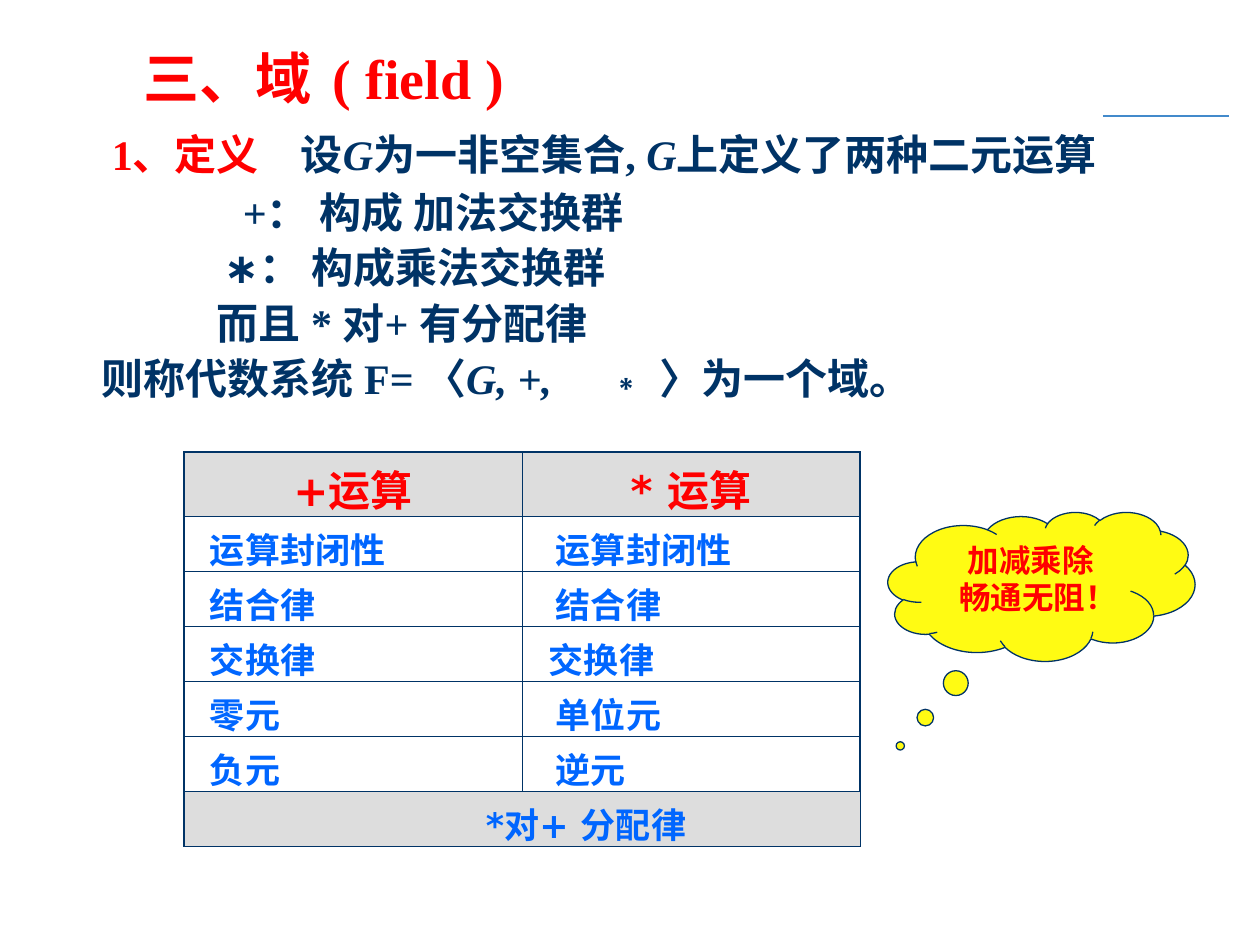
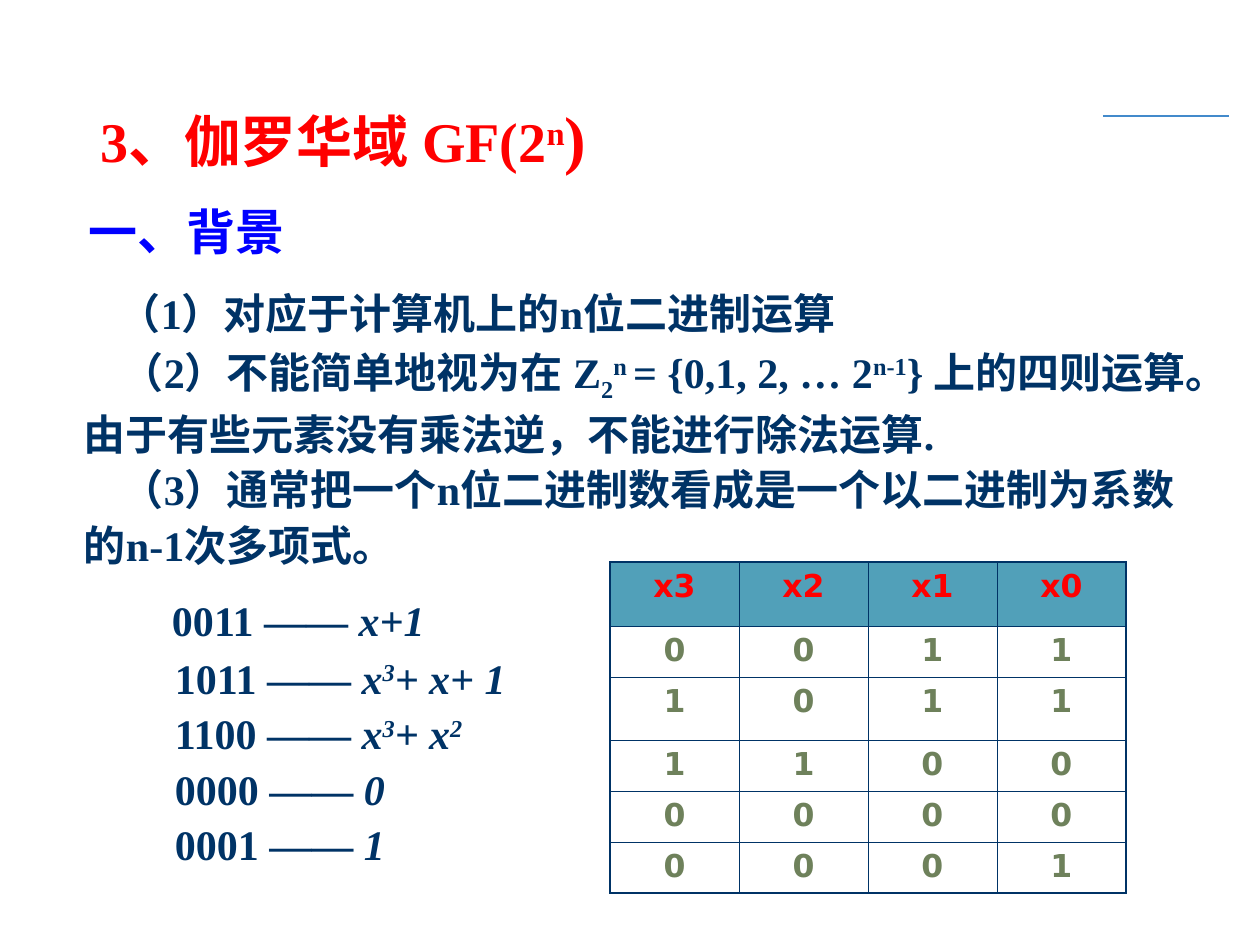
"""Build two slides on algebraic fields and the Galois field GF(2^n)."""
from dataclasses import dataclass, field
from typing import Optional

from lxml.etree import SubElement
from pptx import Presentation
from pptx.dml.color import RGBColor
from pptx.enum.shapes import MSO_CONNECTOR, MSO_SHAPE
from pptx.enum.text import MSO_ANCHOR, PP_ALIGN
from pptx.oxml import parse_xml
from pptx.oxml.ns import nsdecls, qn
from pptx.util import Emu, Pt

PX_PER_INCH = 126


@dataclass(frozen=True)
class Theme:
    navy: str = "003366"
    red: str = "FF0000"
    blue: str = "0000FF"
    sky: str = "0066FF"
    olive: str = "6E815B"
    teal: str = "51A0B9"
    grey: str = "DDDDDD"
    yellow: str = "FFFB13"
    rule: str = "438ACB"
    serif: str = "Times New Roman"
    sans: str = "Arial"
    table: str = "DejaVu Sans"
    east_asian: str = "Lato"
    title: int = 32
    title_bracket: int = 37
    heading: int = 28
    body: int = 24
    row: int = 20
    small: int = 18
    thick: float = 1.08
    thin: float = 0.45
    outline: float = 0.75


THEME = Theme()


@dataclass(frozen=True)
class Run:
    text: str
    italic: bool = False
    baseline: int = 0
    font: Optional[str] = None
    size: Optional[int] = None
    color: Optional[str] = None


@dataclass(frozen=True)
class Line:
    runs: list[Run]
    left: int = 0
    first: int = 0
    before: int = 0
    tab: Optional[int] = None


@dataclass(frozen=True)
class Box:
    left: int
    top: int
    width: int
    height: int

    def emu(self) -> tuple[Emu, Emu, Emu, Emu]:
        return px(self.left), px(self.top), px(self.width), px(self.height)


@dataclass(frozen=True)
class Cell:
    text: str
    left: int = 13
    size: int = THEME.row
    color: str = THEME.sky
    fill: Optional[str] = None
    align: PP_ALIGN = PP_ALIGN.LEFT


@dataclass(frozen=True)
class Grid:
    left: int
    top: int
    column_width: int
    row_heights: list[int]
    cells: list[list[Cell]]
    margin_top: int
    margin_bottom: int
    merged_rows: list[int] = field(default_factory=list)


def px(length: float) -> Emu:
    return Emu(round(length * 914400 / PX_PER_INCH))


def rgb(value: str) -> RGBColor:
    return RGBColor.from_string(value)


def write(frame, lines: list[Line], *, size: int, color: str, font: str = THEME.serif,
          align: PP_ALIGN = PP_ALIGN.LEFT, spacing: Optional[float] = None) -> None:
    frame.word_wrap = True
    for index, line in enumerate(lines):
        paragraph = frame.paragraphs[0] if index == 0 else frame.add_paragraph()
        paragraph.alignment = align
        if spacing:
            paragraph.line_spacing = spacing
        if line.before:
            paragraph.space_before = px(line.before)
        properties = paragraph._p.get_or_add_pPr()
        properties.set("marL", str(px(line.left)))
        properties.set("indent", str(px(line.first)))
        if line.tab:
            tabs = SubElement(properties, qn("a:tabLst"))
            SubElement(tabs, qn("a:tab"), pos=str(px(line.tab)), algn="l")
        for part in line.runs:
            run = paragraph.add_run()
            run.text = part.text
            run.font.bold = True
            run.font.italic = part.italic
            run.font.size = Pt(part.size or size)
            run.font.color.rgb = rgb(part.color or color)
            run.font.name = part.font or font
            run_properties = run._r.get_or_add_rPr()
            SubElement(run_properties, qn("a:ea"), typeface=THEME.east_asian)
            if part.baseline:
                run_properties.set("baseline", str(part.baseline * 1000))


def add_text(slide, box: Box, lines: list[Line], *, size: int = THEME.body,
             color: str = THEME.navy, spacing: Optional[float] = None) -> None:
    frame = slide.shapes.add_textbox(*box.emu()).text_frame
    frame.margin_left = frame.margin_right = frame.margin_top = frame.margin_bottom = 0
    write(frame, lines, size=size, color=color, spacing=spacing)


def set_borders(cell, widths: dict[str, float]) -> None:
    properties = cell._tc.get_or_add_tcPr()
    for index, (side, width) in enumerate(widths.items()):
        properties.insert(index, parse_xml(
            f'<a:ln{side} {nsdecls("a")} w="{Pt(width)}"><a:solidFill>'
            f'<a:srgbClr val="{THEME.navy}"/></a:solidFill></a:ln{side}>'))


def add_grid(slide, grid: Grid) -> None:
    row_count, column_count = len(grid.cells), len(grid.cells[0])
    box = Box(grid.left, grid.top, grid.column_width * column_count, sum(grid.row_heights))
    table = slide.shapes.add_table(row_count, column_count, *box.emu()).table
    table.first_row = table.horz_banding = False
    for column in table.columns:
        column.width = px(grid.column_width)
    for y, (height, row) in enumerate(zip(grid.row_heights, grid.cells)):
        table.rows[y].height = px(height)
        for x, item in enumerate(row):
            cell = table.cell(y, x)
            cell.margin_left, cell.margin_right = px(item.left), px(13)
            cell.margin_top, cell.margin_bottom = px(grid.margin_top), px(grid.margin_bottom)
            if item.fill:
                cell.fill.solid()
                cell.fill.fore_color.rgb = rgb(item.fill)
            else:
                cell.fill.background()
            outer = {"L": x == 0, "R": x == column_count - 1,
                     "T": y == 0, "B": y == row_count - 1}
            set_borders(cell, {side: THEME.thick if edge else THEME.thin
                               for side, edge in outer.items()})
            if item.text:
                write(cell.text_frame, [Line([Run(item.text)])], size=item.size,
                      color=item.color, font=THEME.table, align=item.align)
        if y in grid.merged_rows:
            table.cell(y, 0).merge(table.cell(y, column_count - 1))


def add_callout(slide, box: Box, lines: list[Line]) -> None:
    shape = slide.shapes.add_shape(MSO_SHAPE.CLOUD_CALLOUT, *box.emu())
    shape.adjustments[0], shape.adjustments[1] = -0.46, 1.07
    shape.shadow.inherit = False
    shape.fill.solid()
    shape.fill.fore_color.rgb = rgb(THEME.yellow)
    shape.line.color.rgb = rgb(THEME.navy)
    shape.line.width = Pt(THEME.outline)
    shape.text_frame.vertical_anchor = MSO_ANCHOR.TOP
    write(shape.text_frame, lines, size=THEME.small, color=THEME.red,
          font=THEME.sans, align=PP_ALIGN.CENTER)


def add_slide(presentation):
    slide = presentation.slides.add_slide(presentation.slide_layouts[6])
    rule = slide.shapes.add_connector(MSO_CONNECTOR.STRAIGHT, px(1103), px(116), px(1229), px(116))
    rule.line.color.rgb = rgb(THEME.rule)
    rule.line.width = Pt(THEME.outline)
    SubElement(rule._element.spPr, qn("a:effectLst"))
    return slide


def build_field_slide(presentation) -> None:
    slide = add_slide(presentation)
    add_text(slide, Box(144, 43, 440, 72), [Line([Run("三、域\t( field )")], tab=206)],
             size=THEME.title, color=THEME.red)
    add_text(slide, Box(102, 123, 1094, 280), [
        Line([Run("1、定义\t", color=THEME.red), Run("设"), Run("G", italic=True),
              Run("为一非空集合, "), Run("G", italic=True), Run("上定义了两种二元运算")],
             left=10, tab=197),
        Line([Run("+： 构成 加法交换群")], left=141, before=3),
        Line([Run("∗", font=THEME.sans), Run("： 构成乘法交换群")], left=122),
        Line([Run("而且 * 对+ 有分配律")], left=115),
        Line([Run("则称代数系统 F= "), Run("〈", font=THEME.sans), Run("G, +,\t", italic=True),
              Run("∗ 〉", font=THEME.sans), Run("为一个域。")], tab=512),
    ], spacing=1.1)

    headers = [Cell(text, size=THEME.body, color=THEME.red, fill=THEME.grey,
                    align=PP_ALIGN.CENTER) for text in ("+运算", "* 运算")]
    laws = [("运算封闭性", "运算封闭性", 34), ("结合律", "结合律", 34), ("交换律", "交换律", 27),
            ("零元", "单位元", 34), ("负元", "逆元", 34)]
    rows = [[Cell(plus, left=26), Cell(times, left=indent)] for plus, times, indent in laws]
    footer = [Cell("*对+ 分配律", left=302, fill=THEME.grey), Cell("", fill=THEME.grey)]
    add_grid(slide, Grid(184, 452, 338, [64] + [55] * 6, [headers, *rows, footer],
                         margin_top=13, margin_bottom=0, merged_rows=[6]))
    add_callout(slide, Box(888, 512, 307, 149), [
        Line([Run("加减乘除")]), Line([Run("畅通无阻！")], left=15)])


def polynomial(bits: str, *terms: Run, left: int = 3, before: int = 0) -> Line:
    return Line([Run(f"{bits} —— "), *terms], left=left, before=before)


def build_galois_slide(presentation) -> None:
    slide = add_slide(presentation)
    add_text(slide, Box(100, 98, 560, 76), [
        Line([Run("3、伽罗华域 GF(2"), Run("n", baseline=30),
              Run(")", size=THEME.title_bracket)])], size=THEME.title, color=THEME.red)
    add_text(slide, Box(89, 202, 387, 59), [Line([Run("一、背景")])],
             size=THEME.heading, color=THEME.blue)
    add_text(slide, Box(84, 282, 1122, 286), [
        Line([Run("（1）对应于计算机上的n位二进制运算")], first=35),
        Line([Run("（2）不能简单地视为在 Z"), Run("2", baseline=-25), Run("n ", baseline=30),
              Run("= {0,1, 2, … 2"), Run("n-1", baseline=30),
              Run("} 上的四则运算。由于有些元素没有乘法逆，不能进行除法运算.")],
             first=38, before=3),
        Line([Run("（3）通常把一个n位二进制数看成是一个以二进制为系数的n-1次多项式。")], first=38),
    ], spacing=1.1)

    x = Run("x", italic=True)
    square, cube = (Run(power, italic=True, baseline=30) for power in "23")
    add_text(slide, Box(172, 589, 360, 280), [
        polynomial("0011", Run("x+1", italic=True), left=0),
        polynomial("1011", x, cube, Run("+ x+ 1", italic=True), before=3),
        polynomial("1100", x, cube, Run("+ x", italic=True), square),
        polynomial("0000", Run("0", italic=True)),
        polynomial("0001", Run("1", italic=True)),
    ], spacing=1.1)

    headers = [Cell(f"x{power}", size=THEME.small, color=THEME.red, fill=THEME.teal,
                    align=PP_ALIGN.CENTER) for power in (3, 2, 1, 0)]
    rows = [[Cell(bit, size=THEME.small, color=THEME.olive, align=PP_ALIGN.CENTER)
             for bit in bits] for bits in ("0011", "1011", "1100", "0000", "0001")]
    add_grid(slide, Grid(610, 562, 129, [64, 51, 63, 51, 51, 51], [headers, *rows],
                         margin_top=6, margin_bottom=6))


def main() -> None:
    presentation = Presentation()
    presentation.slide_width, presentation.slide_height = px(1260), px(945)
    build_field_slide(presentation)
    build_galois_slide(presentation)
    presentation.save("out.pptx")


if __name__ == "__main__":
    main()
